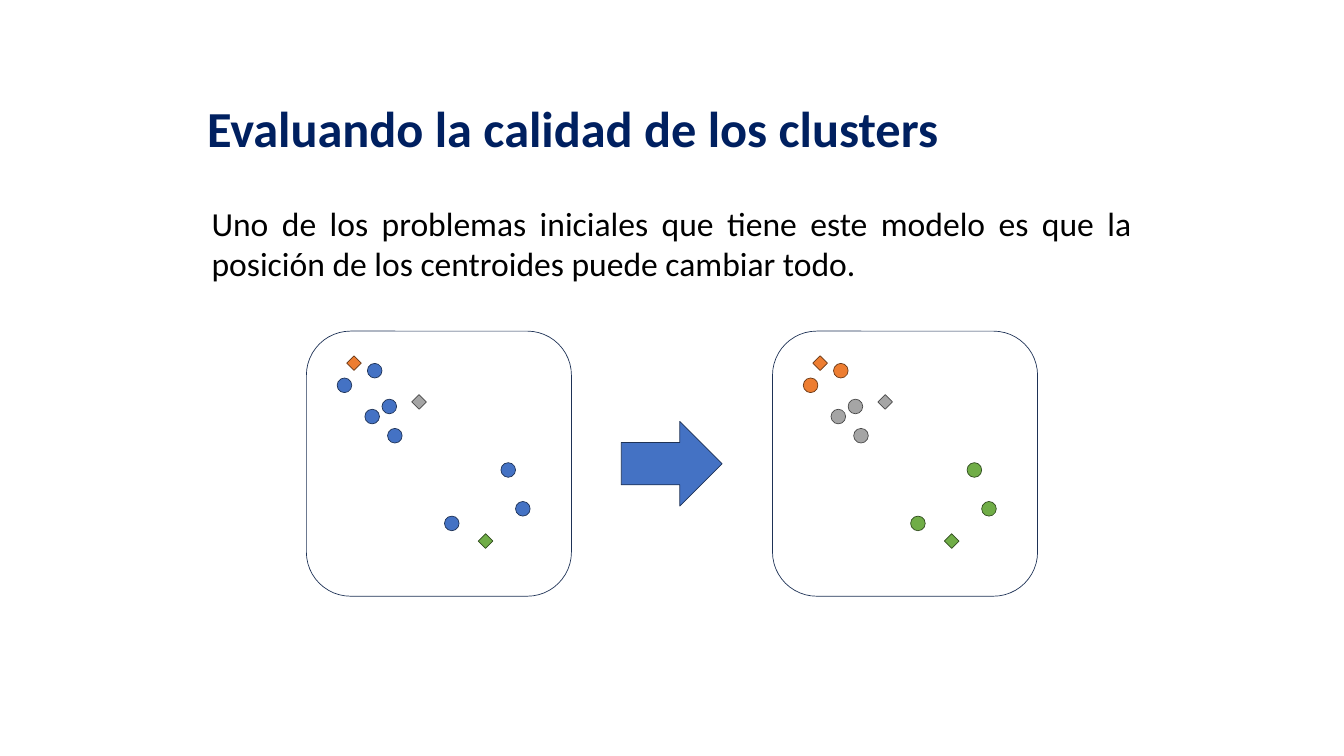
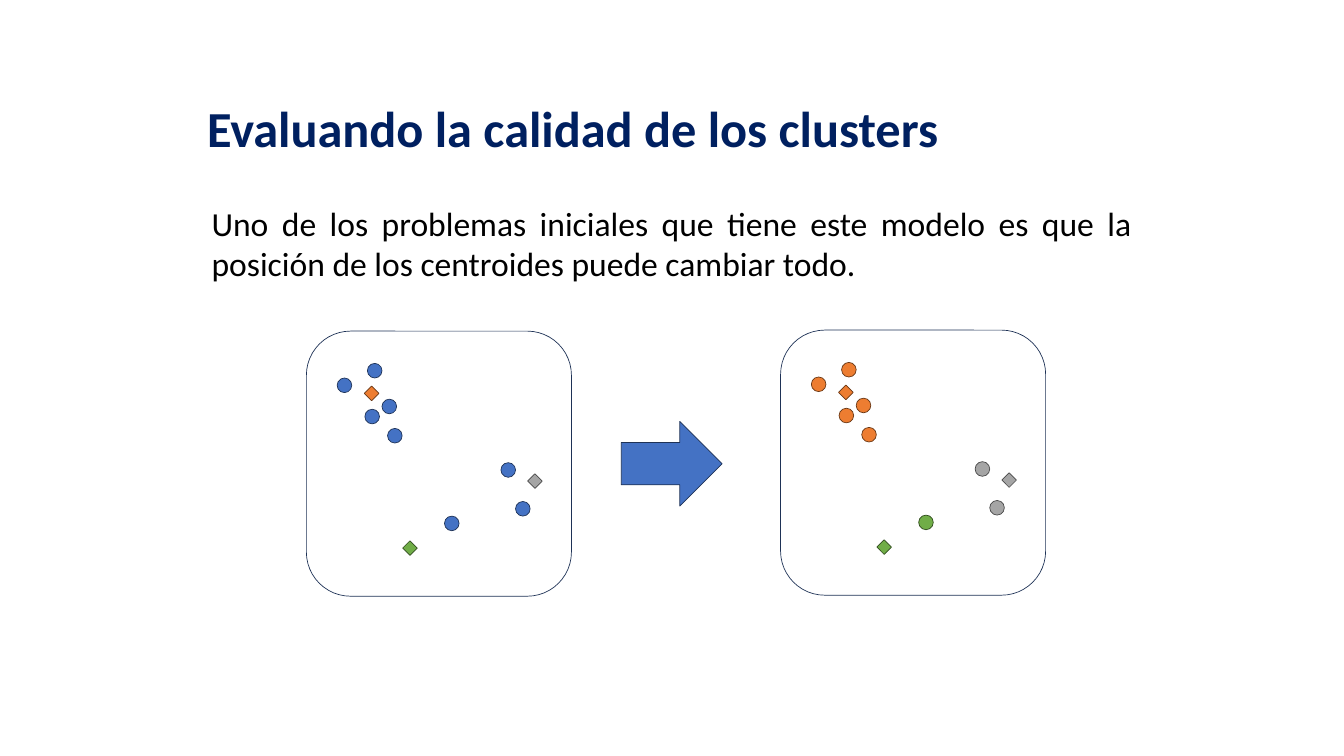
from math import dist

from pptx import Presentation
from pptx.dml.color import RGBColor
from pptx.enum.shapes import MSO_SHAPE
from pptx.enum.text import PP_ALIGN
from pptx.util import Inches, Pt

ROUNDED = MSO_SHAPE.ROUNDED_RECTANGLE
CIRCLE = MSO_SHAPE.OVAL
DIAMOND = MSO_SHAPE.DIAMOND
ARROW = MSO_SHAPE.RIGHT_ARROW
JUSTIFY = PP_ALIGN.JUSTIFY

NAVY = RGBColor(0x00, 0x20, 0x60)
BLACK = RGBColor(0x00, 0x00, 0x00)
BLUE = RGBColor(0x44, 0x72, 0xC4)
ORANGE = RGBColor(0xED, 0x7D, 0x31)
GRAY = RGBColor(0xA5, 0xA5, 0xA5)
GREEN = RGBColor(0x70, 0xAD, 0x47)
DARK_BLUE = RGBColor(0x1E, 0x32, 0x56)
OUTLINES = {
    BLUE: DARK_BLUE,
    ORANGE: RGBColor(0x68, 0x37, 0x15),
    GRAY: RGBColor(0x48, 0x48, 0x48),
    GREEN: RGBColor(0x31, 0x4C, 0x1F),
}
CLUSTER_COLORS = (ORANGE, GRAY, GREEN)

FONT = "Calibri"
TITLE = "Evaluando la calidad de los clusters"
PROBLEM = (
    "Uno de los problemas iniciales que tiene este modelo es que la "
    "posición de los centroides puede cambiar todo."
)
TEXT_WIDTH = 18.47
PANEL_SIZE = 5.26
MARKER_SIZE = 0.29
START_PANEL = (6.08, 6.57)
POINTS = (
    (0.61, 0.93), (1.21, 0.64), (1.16, 1.55), (1.5, 1.35),
    (2.74, 3.67), (3.86, 2.61), (1.61, 1.93), (4.15, 3.38),
)
SCENARIOS = (
    {"centroids": ((0.8, 0.49), (2.09, 1.26), (3.41, 4.02)),
     "result_panel": (15.33, 6.57)},
    {"centroids": ((1.15, 1.09), (4.39, 2.83), (1.91, 4.16)),
     "result_panel": (15.49, 6.55)},
)


def add_text(page, text, left, top, height, size, color, bold=False, spacing=1.0):
    """Add a justified, wrapped paragraph in its own text box."""
    box = page.shapes.add_textbox(
        Inches(left), Inches(top), Inches(TEXT_WIDTH), Inches(height))
    box.text_frame.word_wrap = True
    para = box.text_frame.paragraphs[0]
    para.text = text
    para.alignment = JUSTIFY
    para.line_spacing = spacing
    para.font.name = FONT
    para.font.size = Pt(size)
    para.font.bold = bold
    para.font.color.rgb = color


def add_figure(page, kind, left, top, width, height, fill=None):
    """Add an outlined preset shape, unfilled when no colour is given."""
    figure = page.shapes.add_shape(
        kind, Inches(left), Inches(top), Inches(width), Inches(height))
    figure.shadow.inherit = False
    if fill is None:
        figure.fill.background()
    else:
        figure.fill.solid()
        figure.fill.fore_color.rgb = fill
    figure.line.color.rgb = OUTLINES.get(fill, DARK_BLUE)
    figure.line.width = Pt(1)


def nearest_color(point, centroids):
    """Return the colour of the centroid closest to a point."""
    pairs = zip(centroids, CLUSTER_COLORS)
    return min(pairs, key=lambda pair: dist(point, pair[0]))[1]


def add_scatter(page, corner, centroids, point_colors):
    """Add a rounded panel with its points and centroids."""
    left, top = corner
    add_figure(page, ROUNDED, left, top, PANEL_SIZE, PANEL_SIZE)
    for kind, places, colors in (
            (CIRCLE, POINTS, point_colors),
            (DIAMOND, centroids, CLUSTER_COLORS)):
        for (x, y), color in zip(places, colors):
            add_figure(page, kind, left + x, top + y,
                       MARKER_SIZE, MARKER_SIZE, color)


def add_scenario(deck, centroids, result_panel):
    """Add a slide showing the points before and after assignment."""
    page = deck.slides.add_slide(deck.slide_layouts[6])
    add_text(page, TITLE, 4.01, 2.01, 1.59, 72, NAVY, bold=True, spacing=0.9)
    add_text(page, PROBLEM, 4.1, 3.98, 1.72, 48, BLACK)
    add_scatter(page, START_PANEL, centroids, [BLUE] * len(POINTS))
    assigned = [nearest_color(point, centroids) for point in POINTS]
    add_scatter(page, result_panel, centroids, assigned)
    add_figure(page, ARROW, 12.33, 8.36, 2, 1.68, BLUE)


def main():
    """Build and save the deck."""
    deck = Presentation()
    deck.slide_width = Inches(26.67)
    deck.slide_height = Inches(15)
    for scenario in SCENARIOS:
        add_scenario(deck, **scenario)
    deck.save("out.pptx")


if __name__ == "__main__":
    main()
